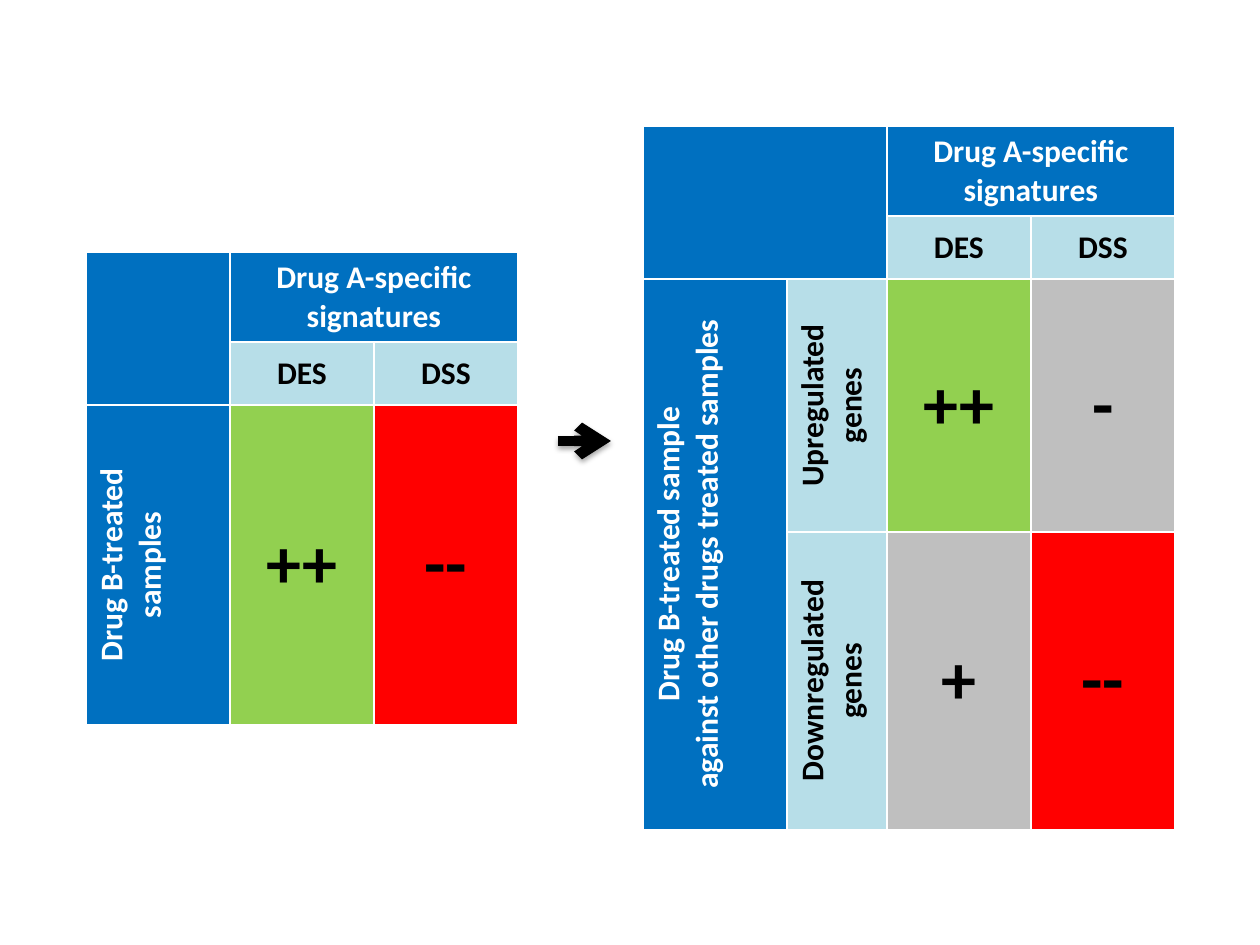
from lxml import etree
from pptx import Presentation
from pptx import util as u
from pptx.dml.color import RGBColor
from pptx.enum import shapes, text
from pptx.oxml import parse_xml
from pptx.oxml.ns import nsdecls

PX = u.Inches(1) // 126
COLOURS = {
    "header": "0070C0", "label": "B7DEE8", "positive": "92D050",
    "neutral": "BFBFBF", "negative": "FF0000", "light": "FFFFFF", "dark": "000000",
}
SIGNATURE, GENES, HEADER, LABEL = 144, 100, 90, 63


def colour(name):
    """Return the named colour."""
    return RGBColor.from_string(COLOURS[name])


def add_matrix(slide, left, top, columns, rows, cells):
    """Add a table from (row, column, row span, column span, text, fill, vertical) cells."""
    table = slide.shapes.add_table(
        len(rows), len(columns), left * PX, top * PX, sum(columns) * PX, sum(rows) * PX).table
    table.horz_banding = False
    for column, width in zip(table.columns, columns):
        column.width = width * PX
    for row, height in zip(table.rows, rows):
        row.height = height * PX
    for row, column, row_span, column_span, wording, fill, vertical in cells:
        cell = table.cell(row, column)
        if row_span * column_span > 1:
            cell.merge(table.cell(row + row_span - 1, column + column_span - 1))
        cell.fill.solid()
        cell.fill.fore_color.rgb = colour(fill)
        cell.vertical_anchor = text.MSO_ANCHOR.MIDDLE
        if vertical:
            cell._tc.get_or_add_tcPr().set("vert", "vert270")
        cell.text = wording
        for paragraph in cell.text_frame.paragraphs:
            paragraph.alignment = text.PP_ALIGN.CENTER
            font = paragraph.font
            font.name, font.bold = "Calibri", True
            font.size = u.Pt(18 if fill in ("header", "label") else 40)
            font.color.rgb = colour("light" if fill == "header" else "dark")


presentation = Presentation()
presentation.slide_width, presentation.slide_height = u.Inches(10), u.Inches(7.5)
slide = presentation.slides.add_slide(presentation.slide_layouts[6])

add_matrix(slide, 643, 126, [SIGNATURE, GENES, SIGNATURE, SIGNATURE], [HEADER, LABEL, 253, 297], [
    (0, 0, 2, 2, "", "header", False),
    (0, 2, 1, 2, "Drug A-specific signatures", "header", False),
    (1, 2, 1, 1, "DES", "label", False),
    (1, 3, 1, 1, "DSS", "label", False),
    (2, 0, 2, 1, "Drug B-treated sample\nagainst other drugs treated samples", "header", True),
    (2, 1, 1, 1, "Upregulated\ngenes", "label", True),
    (2, 2, 1, 1, "++", "positive", False),
    (2, 3, 1, 1, "-", "neutral", False),
    (3, 1, 1, 1, "Downregulated genes", "label", True),
    (3, 2, 1, 1, "+", "neutral", False),
    (3, 3, 1, 1, "--", "negative", False),
])
add_matrix(slide, 86, 252, [SIGNATURE] * 3, [HEADER, LABEL, 319], [
    (0, 0, 2, 1, "", "header", False),
    (0, 1, 1, 2, "Drug A-specific signatures", "header", False),
    (1, 1, 1, 1, "DES", "label", False),
    (1, 2, 1, 1, "DSS", "label", False),
    (2, 0, 1, 1, "Drug B-treated samples", "header", True),
    (2, 1, 1, 1, "++", "positive", False),
    (2, 2, 1, 1, "--", "negative", False),
])

arrow = slide.shapes.add_connector(
    shapes.MSO_CONNECTOR.STRAIGHT, 558 * PX, 441 * PX, 611 * PX, 441 * PX)
arrow.line.color.rgb = colour("dark")
arrow.line.width = u.Pt(6)
line = arrow.line._get_or_add_ln()
etree.SubElement(line, "{http://schemas.openxmlformats.org/drawingml/2006/main}tailEnd", type="arrow")
line.addnext(parse_xml(
    f'<a:effectLst {nsdecls("a")}><a:outerShdw blurRad="{u.Pt(3.1)}" dist="{u.Pt(1.8)}" '
    f'dir="5400000" rotWithShape="0"><a:srgbClr val="{COLOURS["dark"]}">'
    '<a:alpha val="35000"/></a:srgbClr></a:outerShdw></a:effectLst>'))

presentation.save("out.pptx")
